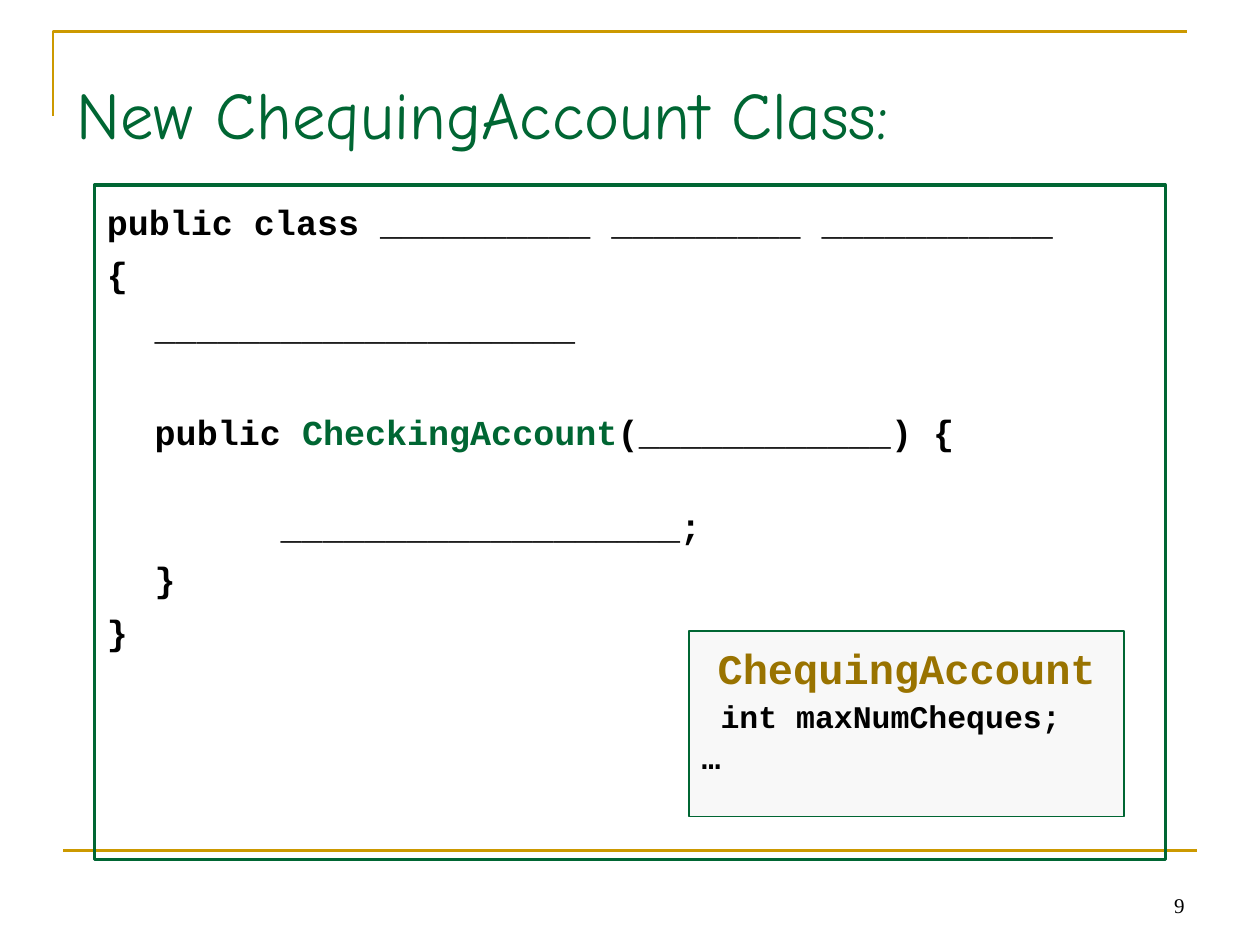
from lxml.etree import SubElement
from pptx import Presentation
from pptx.dml.color import RGBColor
from pptx.enum.shapes import MSO_CONNECTOR, MSO_SHAPE
from pptx.enum.text import MSO_ANCHOR, PP_ALIGN
from pptx.oxml.ns import qn
from pptx.util import Inches, Pt

GREEN, GOLD, BLACK = "006633", "CC9900", "000000"
CODE = "Courier New"


def color(value):
    return RGBColor.from_string(value)


def write(frame, paragraphs, font=CODE, bold=False, anchor=MSO_ANCHOR.TOP, top=0.05, bottom=0.05):
    frame.word_wrap = True
    frame.vertical_anchor = anchor
    frame.margin_left = frame.margin_right = Inches(0.1)
    frame.margin_top, frame.margin_bottom = Inches(top), Inches(bottom)
    for index, (runs, size, align, indent, before, spacing) in enumerate(paragraphs):
        paragraph = frame.add_paragraph() if index else frame.paragraphs[0]
        paragraph.alignment = align
        paragraph.space_before = Pt(before)
        paragraph.line_spacing = spacing
        paragraph._p.get_or_add_pPr().set("marL", str(Inches(indent)))
        for text, ink in runs:
            run = paragraph.add_run()
            run.text = text
            run.font.name, run.font.size, run.font.bold = font, Pt(size), bold
            run.font.color.rgb = color(ink)


prs = Presentation()
prs.slide_width, prs.slide_height = Inches(10), Inches(7.5)
slide = prs.slides.add_slide(prs.slide_layouts[5])
shapes = slide.shapes

builder = shapes.build_freeform(Inches(0.42), Inches(0.92), scale=1.0)
builder.add_line_segments([(Inches(0.42), Inches(0.25)), (Inches(9.42), Inches(0.25))], close=False)
corner = builder.convert_to_shape()
corner.shadow.inherit = False
corner.fill.background()

footer_rule = shapes.add_connector(
    MSO_CONNECTOR.STRAIGHT, Inches(0.5), Inches(6.75), Inches(9.5), Inches(6.75))
SubElement(footer_rule._element.spPr, qn("a:effectLst"))
for rule in (corner, footer_rule):
    rule.line.color.rgb = color(GOLD)
    rule.line.width = Pt(1.5)

page_number = shapes.add_textbox(Inches(7.17), Inches(6.83), Inches(2.33), Inches(0.5))
write(page_number.text_frame, [([("9", BLACK)], 12, PP_ALIGN.RIGHT, 0, 0, 1.0)],
      font="Times New Roman", anchor=MSO_ANCHOR.BOTTOM)

title = shapes.title
title.left, title.top, title.width, title.height = map(Inches, (0.51, 0.52, 9, 0.79))
write(title.text_frame, [([("New ChequingAccount Class:", GREEN)], 38, PP_ALIGN.LEFT, 0, 0, 1.0)],
      font="Comic Neue", anchor=MSO_ANCHOR.BOTTOM, bottom=0.1)

class_code = [
    ([("public class __________ _________ ___________", BLACK)], 0, 0),
    ([("{", BLACK)], 0, 6),
    ([("____________________", BLACK)], 0.38, 6),
    ([("public ", BLACK), ("CheckingAccount", GREEN), ("(____________) {", BLACK)], 0.38, 36),
    ([("___________________;", BLACK)], 1.38, 30),
    ([("}", BLACK)], 0.38, 6),
    ([("}", BLACK)], 0, 6),
]
code_lines = [(runs, 20, PP_ALIGN.LEFT, indent, before, 1.0) for runs, indent, before in class_code]
account_lines = [
    ([("ChequingAccount", "997300")], 24, PP_ALIGN.CENTER, 0, 0, 1.0),
    ([(" int maxNumCheques;", BLACK)], 18, PP_ALIGN.LEFT, 0, 4.5, 0.9),
    ([("…", BLACK)], 18, PP_ALIGN.LEFT, 0, 4.5, 0.9),
]

for box, fill, width, lines, top in [
    ((0.75, 1.47, 8.5, 5.35), None, 2, code_lines, 0.12),
    ((5.47, 5.01, 3.45, 1.47), "F8F8F8", 1, account_lines, 0.09),
]:
    panel = shapes.add_shape(MSO_SHAPE.RECTANGLE, *map(Inches, box))
    panel.shadow.inherit = False
    if fill:
        panel.fill.solid()
        panel.fill.fore_color.rgb = color(fill)
    else:
        panel.fill.background()
    panel.line.color.rgb = color(GREEN)
    panel.line.width = Pt(width)
    write(panel.text_frame, lines, bold=True, top=top)

prs.save("out.pptx")
